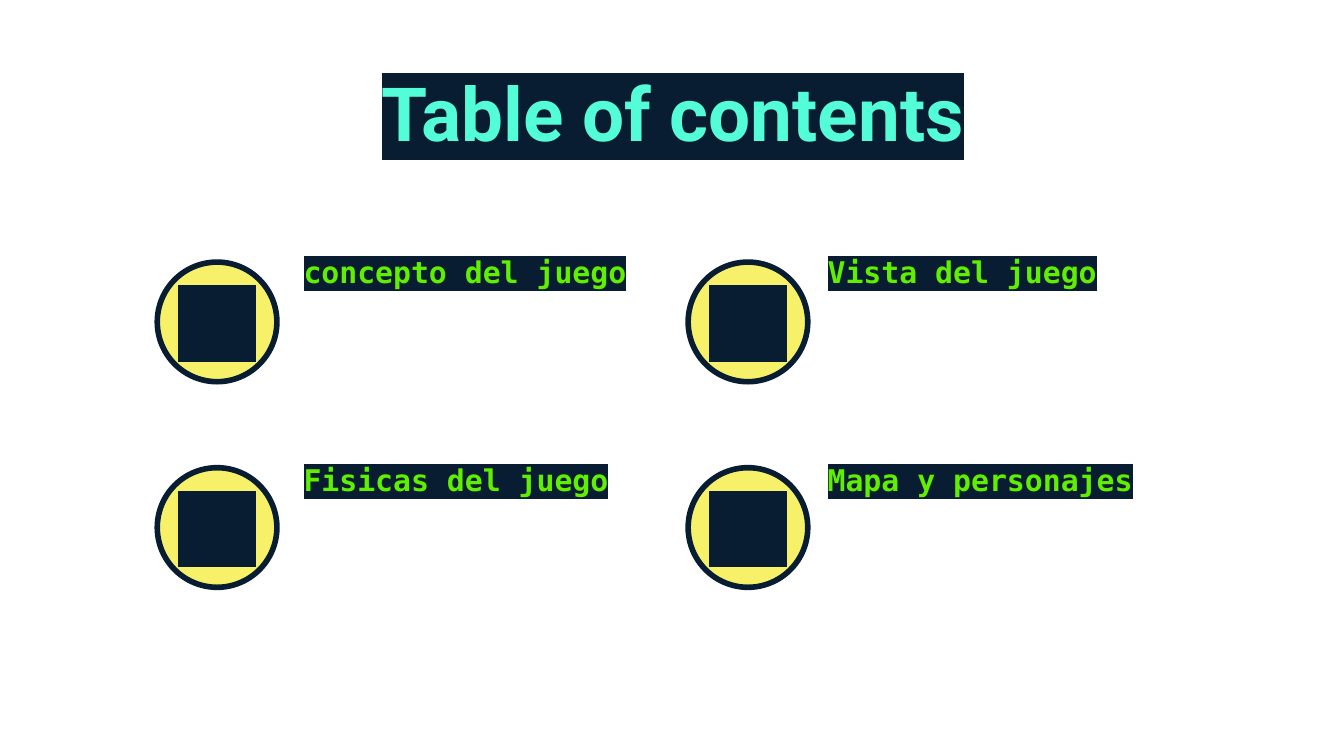
from itertools import product

from lxml import etree
from pptx import Presentation
from pptx import util as u
from pptx.dml.color import RGBColor
from pptx.enum import shapes, text
from pptx.oxml.ns import qn

PX = 9144  # EMU per px, 100 px to the inch
SLIDE_WIDTH = 1000 * PX
SLIDE_HEIGHT = SLIDE_WIDTH * 9 // 16
COLORS = {"navy": "081D32", "yellow": "F7F169", "mint": "53FDD8", "green": "60EF01"}
MONO = "DejaVu Sans Mono"

TOPICS = ["concepto del juego", "Vista del juego", "Fisicas del juego", "Mapa y personajes"]
COLUMNS = [(117, 216), (512, 606)]  # left of badge, left of label
ROWS = [(195, 184), (348, 339)]  # top of badge, top of label


def rgb(name):
    return RGBColor.from_string(COLORS[name])


def place(shape, box):
    shape.left, shape.top, shape.width, shape.height = (value * PX for value in box)


def write_text(shape, words, *, size, color, font=MONO, align=text.PP_ALIGN.LEFT,
               anchor=text.MSO_ANCHOR.TOP, line_spacing=1.0, space_after=0):
    frame = shape.text_frame
    frame.word_wrap = True
    frame.auto_size = text.MSO_AUTO_SIZE.NONE
    frame.vertical_anchor = anchor
    frame.margin_left = frame.margin_top = frame.margin_right = frame.margin_bottom = 10 * PX
    paragraph = frame.paragraphs[0]
    paragraph.alignment = align
    paragraph.line_spacing = line_spacing
    paragraph.space_before = u.Pt(0)
    paragraph.space_after = u.Pt(space_after)
    run = paragraph.add_run()
    run.text = words
    run.font.size = u.Pt(size)
    run.font.bold = True
    run.font.name = font
    run.font.color.rgb = rgb(color)
    # The highlight belongs right after the text fill
    highlight = etree.Element(qn("a:highlight"))
    etree.SubElement(highlight, qn("a:srgbClr"), val=COLORS["navy"])
    run.font._element.find(qn("a:solidFill")).addnext(highlight)


def add_text(slide, box, words, **style):
    shape = slide.shapes.add_textbox(0, 0, 0, 0)
    place(shape, box)
    write_text(shape, words, **style)


def add_title(slide, box):
    title = slide.shapes.title
    place(title, box)
    write_text(title, "Table of contents", size=40, color="mint", font="Roboto",
               align=text.PP_ALIGN.CENTER)


def add_badge(slide, box, number):
    left, top, width, _ = box
    circle = slide.shapes.add_shape(shapes.MSO_SHAPE.OVAL, 0, 0, 0, 0)
    place(circle, box)
    circle.shadow.inherit = False
    circle.fill.solid()
    circle.fill.fore_color.rgb = rgb("yellow")
    circle.line.color.rgb = rgb("navy")
    circle.line.width = u.Pt(3)
    add_text(slide, (left, top + 14, width, 58), f"{number:02d}", size=35, color="navy",
             align=text.PP_ALIGN.CENTER, anchor=text.MSO_ANCHOR.MIDDLE)


def add_label(slide, box, topic):
    add_text(slide, box, topic, size=16, color="green", line_spacing=0.8, space_after=16)


def main():
    presentation = Presentation()
    presentation.slide_width = SLIDE_WIDTH
    presentation.slide_height = SLIDE_HEIGHT
    slide = presentation.slides.add_slide(presentation.slide_layouts[5])

    add_title(slide, (79, 40, 843, 63))

    # Two by two grid of numbered topics
    cells = product(ROWS, COLUMNS)
    for number, (topic, (row, column)) in enumerate(zip(TOPICS, cells), start=1):
        badge_top, label_top = row
        badge_left, label_left = column
        add_badge(slide, (badge_left, badge_top, 89, 89), number)
        add_label(slide, (label_left, label_top, 291, 43), topic)

    presentation.save("out.pptx")


if __name__ == "__main__":
    main()
